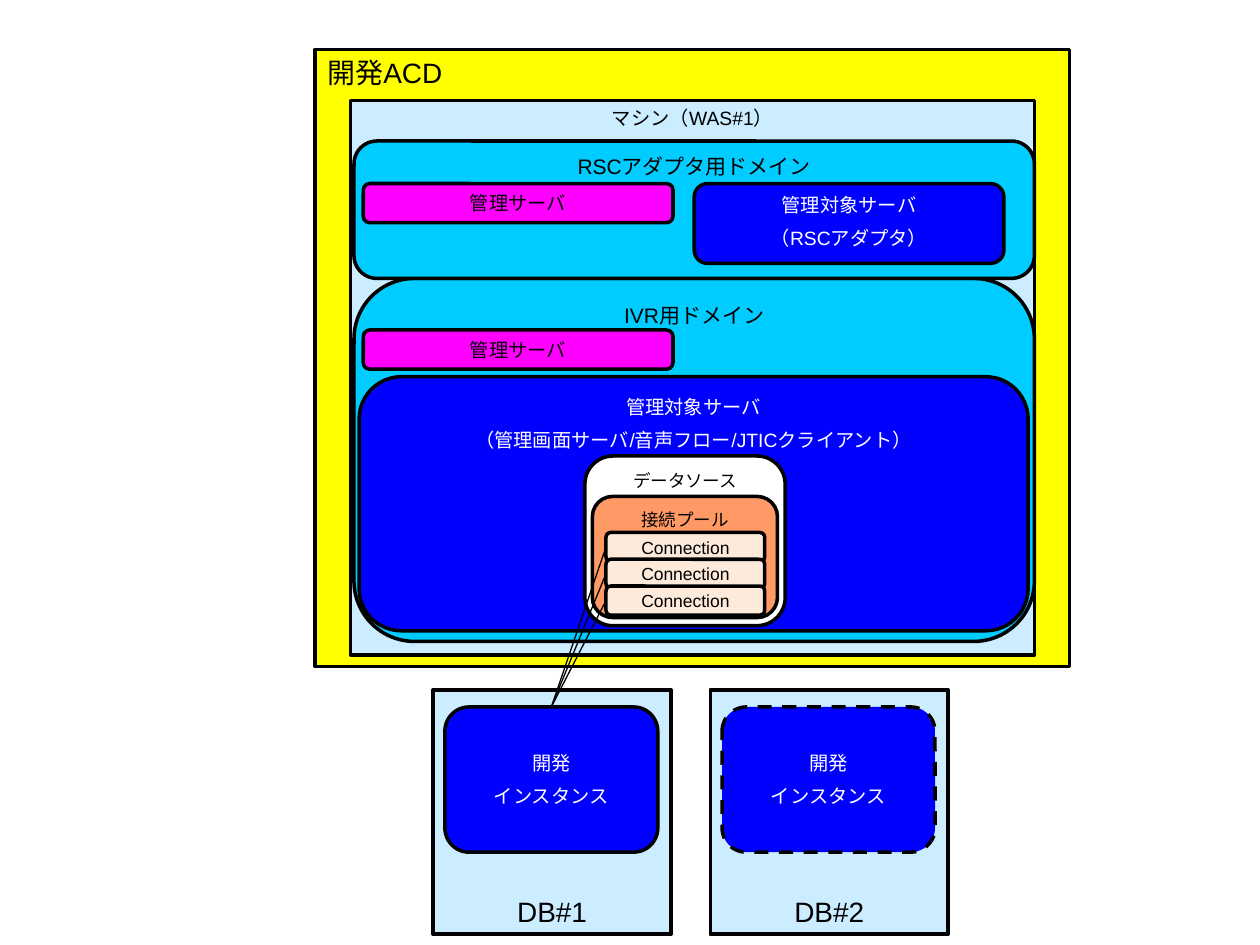
from dataclasses import dataclass

from pptx import Presentation
from pptx.dml.color import RGBColor as Rgb
from pptx.enum.dml import MSO_LINE as Dash
from pptx.enum.shapes import MSO_CONNECTOR as Wire, MSO_SHAPE as Kind
from pptx.enum.text import MSO_ANCHOR as Anchor, PP_ALIGN as Align
from pptx.oxml.ns import qn
from pptx.util import Pt
from lxml import etree


@dataclass(frozen=True)
class Theme:
    font: str = "Arial"
    ink: str = "000000"
    white: str = "FFFFFF"
    site: str = "FFFF00"
    host: str = "CCECFF"
    domain: str = "00CCFF"
    target: str = "0000FF"
    admin: str = "FF00FF"
    pool: str = "FF9966"
    link: str = "FDEADA"
    large: float = 16
    mid: float = 12
    base: float = 11
    small: float = 10
    edge: float = 2
    thin: float = 0.75


THEME = Theme()


def assign(obj, values):
    for name, value in values.items():
        setattr(obj, name, value)


def paint(fill, color):
    fill.solid()
    fill.fore_color.rgb = Rgb.from_string(color)


def write(shape, lines, size, color, anchor, align):
    frame = shape.text_frame
    assign(frame, {"word_wrap": True, "vertical_anchor": anchor})
    for i, line in enumerate(lines):
        para = frame.add_paragraph() if i else frame.paragraphs[0]
        assign(para, {"alignment": align, "space_before": Pt(size / 2 if i else 0)})
        run = para.add_run()
        run.text = line
        assign(run.font, {"name": THEME.font, "size": Pt(size)})
        run.font.color.rgb = Rgb.from_string(color)


def add_box(slide, area, lines, fill, size=THEME.base, color=THEME.ink,
            kind=Kind.ROUNDED_RECTANGLE, anchor=Anchor.TOP,
            align=Align.CENTER, dash=None):
    """Draw an outlined, labelled box; area is left, top, width, height."""
    box = slide.shapes.add_shape(kind, *map(Pt, area))
    box.shadow.inherit = False
    paint(box.fill, fill)
    paint(box.line.fill, THEME.ink)
    assign(box.line, {"width": Pt(THEME.edge), "dash_style": dash})
    write(box, lines, size, color, anchor, align)
    return box


def add_target(slide, area, lines, **look):
    return add_box(slide, area, lines, THEME.target, color=THEME.white, **look)


def add_wire(slide, start, end):
    """Join the left side of start to the top of end."""
    wire = slide.shapes.add_connector(Wire.STRAIGHT, 0, 0, 0, 0)
    wire.begin_connect(start, 1)
    wire.end_connect(end, 0)
    paint(wire.line.fill, THEME.ink)
    wire.line.width = Pt(THEME.thin)
    etree.SubElement(wire._element.spPr, qn("a:effectLst"))


def add_site(slide):
    add_box(slide, (180, 28.2, 431.3, 352.8), ["開発ACD"], THEME.site,
            THEME.large, kind=Kind.RECTANGLE, align=Align.LEFT)
    add_box(slide, (200.2, 57.4, 391, 316.8), ["マシン（WAS#1）"],
            THEME.host, kind=Kind.RECTANGLE)


def add_domains(slide):
    left, width = 202.3, 388.8
    domains = [("IVR用ドメイン", 159.1, 207.4, 188.6),
               ("RSCアダプタ用ドメイン", 80.6, 78.5, 104.9)]
    for name, top, height, row in domains:
        add_box(slide, (left, top, width, height), [name], THEME.domain, THEME.mid)
        add_box(slide, (207.6, row, 177, 22.4), ["管理サーバ"], THEME.admin,
                anchor=Anchor.MIDDLE)
    add_target(slide, (205.2, 215.3, 382.3, 145.2),
               ["管理対象サーバ", "（管理画面サーバ/音声フロー/JTICクライアント）"])
    add_target(slide, (396.7, 104.9, 177, 45.6),
               ["管理対象サーバ", "（RSCアダプタ）"])


def add_db(slide, index, dash=None):
    """Draw one database host and return its instance box."""
    shift = 158.4 * index
    add_box(slide, (247.5 + shift, 394.2, 136, 139.6), [f"DB#{index + 1}"],
            THEME.host, THEME.large, kind=Kind.RECTANGLE, anchor=Anchor.BOTTOM)
    return add_target(slide, (254.2 + shift, 404, 121.7, 83),
                      ["開発", "インスタンス"], anchor=Anchor.MIDDLE, dash=dash)


def add_source(slide):
    """Draw the data source and return its pooled connections."""
    add_box(slide, (334.2, 260.6, 114.5, 97), ["データソース"],
            THEME.white, THEME.small)
    add_box(slide, (338.5, 283.7, 105.8, 69.2), ["接続プール"],
            THEME.pool, THEME.small)
    return [add_box(slide, (346.3, 304.3 + 15.3 * i, 90.7, 16.6), ["Connection"],
                    THEME.link, THEME.small, anchor=Anchor.MIDDLE)
            for i in range(3)]


def main():
    deck = Presentation()
    assign(deck, {"slide_width": Pt(720), "slide_height": Pt(540)})
    slide = deck.slides.add_slide(deck.slide_layouts[6])
    add_site(slide)
    add_domains(slide)
    store = add_db(slide, 0)
    add_db(slide, 1, Dash.DASH)
    for link in add_source(slide):
        add_wire(slide, link, store)
    deck.save("out.pptx")


if __name__ == "__main__":
    main()
